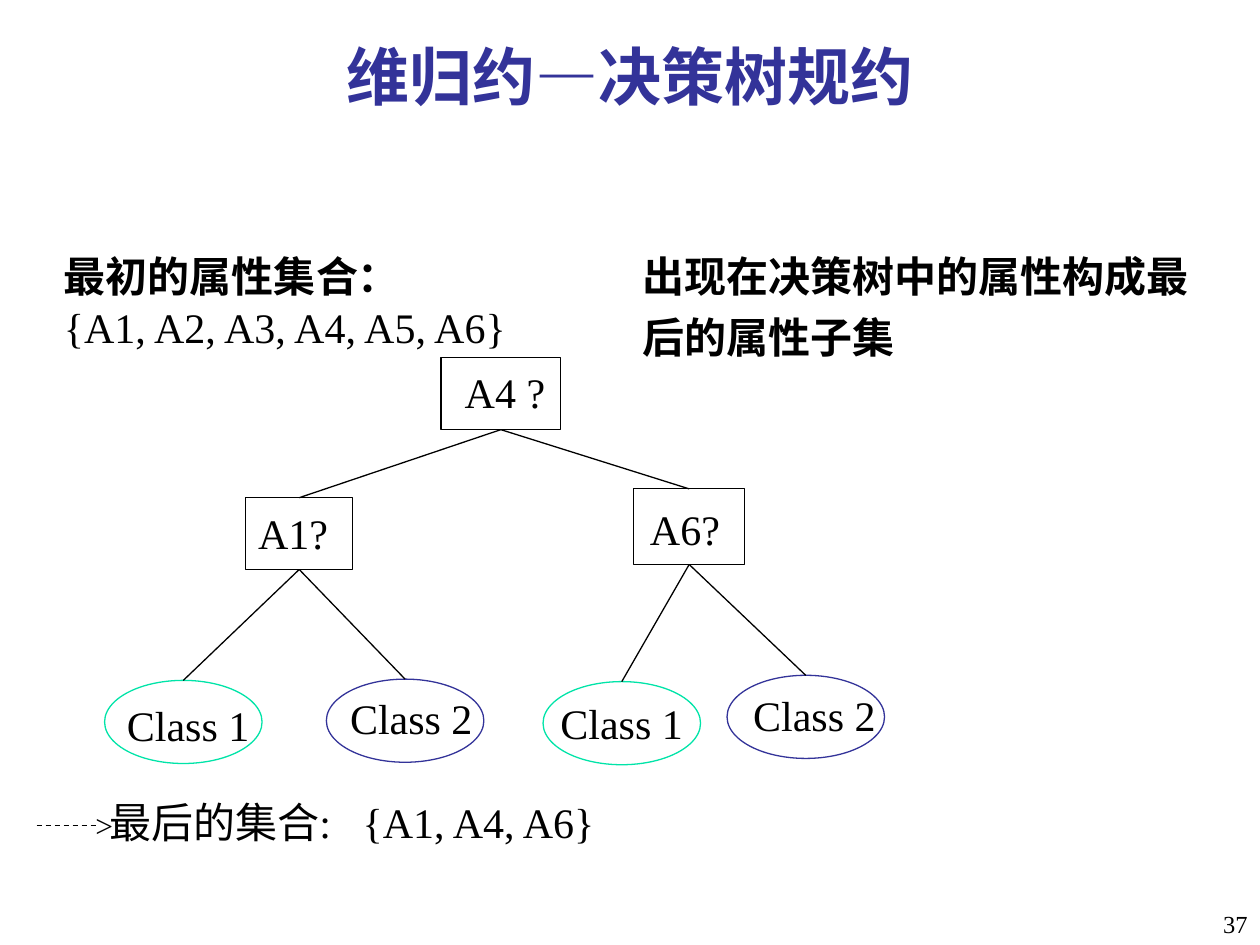
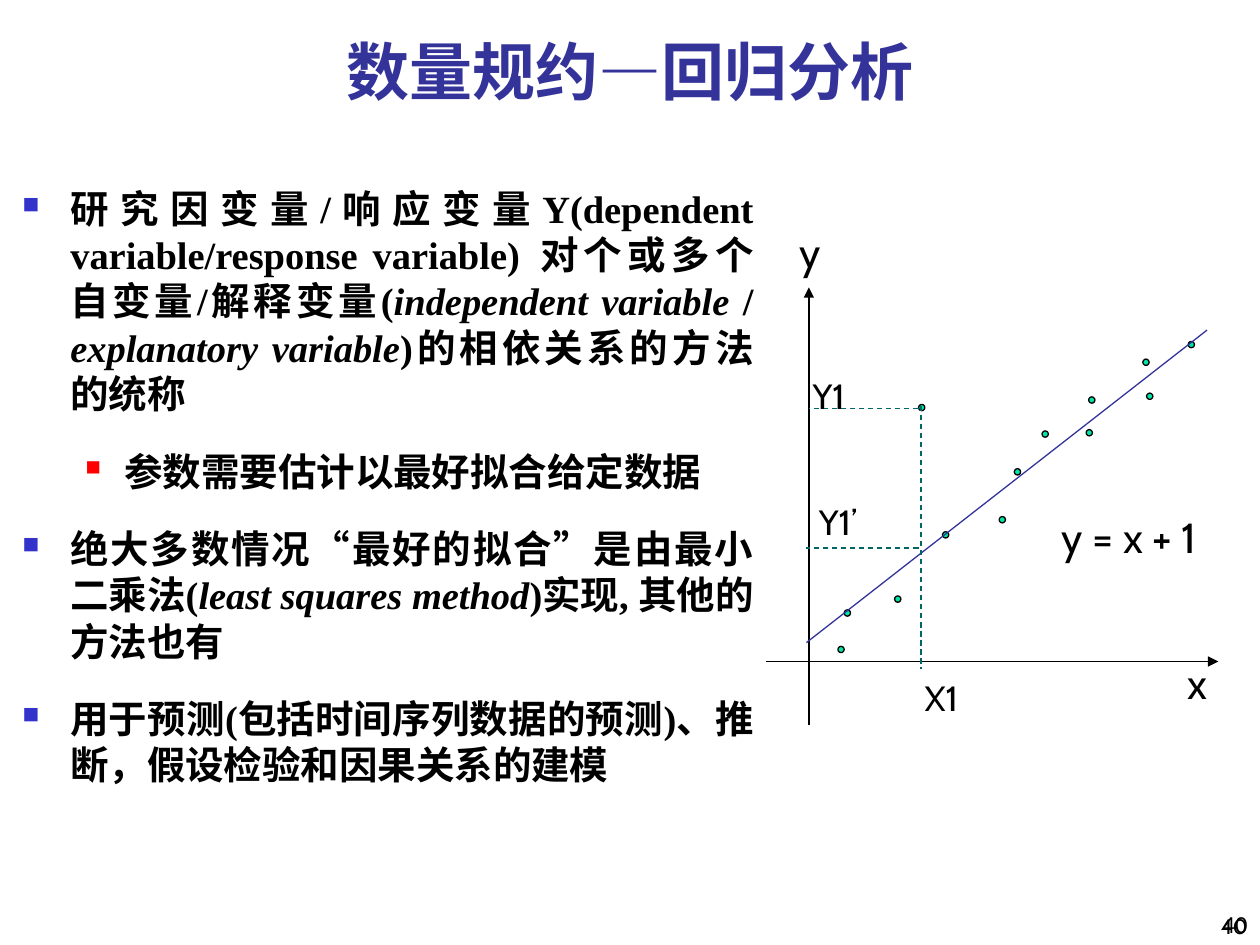
from dataclasses import dataclass
from typing import Optional

from lxml import etree
from pptx import Presentation
from pptx.dml.color import RGBColor
from pptx.enum.dml import MSO_LINE
from pptx.enum.shapes import MSO_CONNECTOR, MSO_SHAPE
from pptx.enum.text import MSO_ANCHOR, MSO_AUTO_SIZE, PP_ALIGN
from pptx.oxml.ns import qn
from pptx.shapes.autoshape import Shape
from pptx.shapes.connector import Connector
from pptx.slide import Slide
from pptx.text.text import TextFrame
from pptx.util import Inches, Pt

RECT, OVAL = MSO_SHAPE.RECTANGLE, MSO_SHAPE.OVAL
STRAIGHT, DASH = MSO_CONNECTOR.STRAIGHT, MSO_LINE.DASH
TOP, BOTTOM = MSO_ANCHOR.TOP, MSO_ANCHOR.BOTTOM
LEFT, CENTER, RIGHT, JUSTIFY = PP_ALIGN.LEFT, PP_ALIGN.CENTER, PP_ALIGN.RIGHT, PP_ALIGN.JUSTIFY
FIT, NO_FIT = MSO_AUTO_SIZE.SHAPE_TO_FIT_TEXT, MSO_AUTO_SIZE.NONE
TOP_SITE, BOTTOM_SITE = 0, 2

Box = tuple[float, float, float, float]
Point = tuple[float, float]


@dataclass(frozen=True)
class Theme:
    serif: str = "Times New Roman"
    sans: str = "Cabin"
    number_font: str = "Calibri"
    ink: str = "000000"
    navy: str = "333399"
    green: str = "00E4A8"
    teal: str = "006666"
    bullet_blue: str = "3333CC"
    bullet_red: str = "FF0000"
    title: int = 36
    text: int = 24
    body: int = 22
    tick: int = 20
    arrow: int = 18
    number: int = 14
    small_number: int = 12
    stroke: float = 0.75


THEME = Theme()


@dataclass(frozen=True)
class Run:
    text: str
    size: int = THEME.text
    font: str = THEME.serif
    bold: bool = False
    italic: bool = False
    color: str = THEME.ink


@dataclass(frozen=True)
class TreeNode:
    label: str
    box: Box
    label_box: Box
    kind: MSO_SHAPE = RECT
    color: str = THEME.ink
    parent: Optional[int] = None


@dataclass(frozen=True)
class Segment:
    start: Point
    end: Point
    color: str = THEME.ink
    dashed: bool = False
    arrow: bool = False


@dataclass(frozen=True)
class BulletLevel:
    color: str
    size_percent: int
    margin: float
    hanging: float


LEVELS = (BulletLevel(THEME.bullet_blue, 60, 0.38, 0.38),
          BulletLevel(THEME.bullet_red, 55, 0.81, 0.31))


def add_run(paragraph, run: Run) -> None:
    piece = paragraph.add_run()
    piece.text = run.text
    font = piece.font
    font.name, font.size = run.font, Pt(run.size)
    font.bold, font.italic = run.bold, run.italic
    font.color.rgb = RGBColor.from_string(run.color)


def add_text(slide: Slide, box: Box, lines: list[list[Run]], wrap: bool = False,
             align: PP_ALIGN = LEFT, anchor: MSO_ANCHOR = TOP,
             fit: MSO_AUTO_SIZE = FIT) -> TextFrame:
    frame = slide.shapes.add_textbox(*map(Inches, box)).text_frame
    frame.word_wrap, frame.auto_size, frame.vertical_anchor = wrap, fit, anchor
    for index, runs in enumerate(lines):
        paragraph = frame.add_paragraph() if index else frame.paragraphs[0]
        paragraph.alignment = align
        for run in runs:
            add_run(paragraph, run)
    return frame


def add_outline(slide: Slide, kind: MSO_SHAPE, box: Box, color: str,
                fill: Optional[str] = None) -> Shape:
    shape = slide.shapes.add_shape(kind, *map(Inches, box))
    shape.shadow.inherit = False
    if fill:
        shape.fill.solid()
        shape.fill.fore_color.rgb = RGBColor.from_string(fill)
    else:
        shape.fill.background()
    shape.line.color.rgb = RGBColor.from_string(color)
    shape.line.width = Pt(THEME.stroke)
    return shape


def add_segment(slide: Slide, segment: Segment) -> Connector:
    ends = map(Inches, (*segment.start, *segment.end))
    connector = slide.shapes.add_connector(STRAIGHT, *ends)
    line = connector.line
    line.color.rgb = RGBColor.from_string(segment.color)
    line.width = Pt(THEME.stroke)
    if segment.dashed:
        line.dash_style = DASH
    if segment.arrow:
        etree.SubElement(line._ln, qn("a:tailEnd"), type="triangle")
    etree.SubElement(connector._element.spPr, qn("a:effectLst"))
    return connector


def start_slide(prs, title: str, box: Box, anchor: MSO_ANCHOR) -> Slide:
    slide = prs.slides.add_slide(prs.slide_layouts[5])
    heading = slide.shapes.title
    heading.left, heading.top, heading.width, heading.height = map(Inches, box)
    frame = heading.text_frame
    frame.word_wrap, frame.auto_size, frame.vertical_anchor = True, NO_FIT, anchor
    paragraph = frame.paragraphs[0]
    paragraph.alignment = CENTER
    add_run(paragraph, Run(title, THEME.title, THEME.sans, bold=True, color=THEME.navy))
    return slide


def add_page_number(slide: Slide, number: Run) -> None:
    add_text(slide, (7.92, 7.08, 2.08, 0.42), [[number]], True, RIGHT, BOTTOM, NO_FIT)


def add_tree(slide: Slide, nodes: list[TreeNode]) -> None:
    """Draws each node and joins it to its parent, which comes earlier in the list."""
    drawn: list[Shape] = []
    for node in nodes:
        shape = add_outline(slide, node.kind, node.box, node.color)
        add_text(slide, node.label_box, [[Run(node.label)]])
        if node.parent is not None:
            branch = add_segment(slide, Segment((0, 0), (1, 1)))
            branch.begin_connect(drawn[node.parent], BOTTOM_SITE)
            branch.end_connect(shape, TOP_SITE)
        drawn.append(shape)


def add_bullets(slide: Slide, box: Box, items: list[tuple[int, list[Run]]]) -> None:
    frame = add_text(slide, box, [runs for _, runs in items], True, JUSTIFY, fit=NO_FIT)
    for index, (paragraph, (depth, _)) in enumerate(zip(frame.paragraphs, items)):
        level = LEVELS[depth]
        paragraph.level = depth
        paragraph.space_before = Pt(18 if index else 0)
        props = paragraph._p.get_or_add_pPr()
        props.set("marL", str(Inches(level.margin)))
        props.set("indent", str(-Inches(level.hanging)))
        tint = etree.SubElement(props, qn("a:buClr"))
        etree.SubElement(tint, qn("a:srgbClr"), val=level.color)
        etree.SubElement(props, qn("a:buSzPct"), val=str(level.size_percent * 1000))
        etree.SubElement(props, qn("a:buChar"), char="■")


def build_decision_tree(prs) -> None:
    slide = start_slide(prs, "维归约—决策树规约", (0, 0.25, 10, 0.92), TOP)
    add_page_number(slide, Run("37", THEME.number))
    conclusion = add_text(slide, (5, 1.86, 4.73, 1.06),
                          [[Run("出现在决策树中的属性构成最后的属性子集", bold=True)]], True)
    conclusion.paragraphs[0].line_spacing = 1.2
    add_text(slide, (0.41, 1.94, 3.8, 0.9),
             [[Run("最初的属性集合：", bold=True)], [Run("{A1, A2, A3, A4, A5, A6}")]])

    def leaf(name: str, left: float, top: float, label_at: Point, color: str,
             parent: int) -> TreeNode:
        return TreeNode(name, (left, top, 1.25, 0.66), (*label_at, 1.17, 0.5),
                        OVAL, color, parent)

    add_tree(slide, [
        TreeNode("A4 ?", (3.5, 2.84, 0.95, 0.57), (3.59, 2.86, 0.97, 0.5)),
        TreeNode("A1?", (1.95, 3.95, 0.85, 0.57), (1.95, 3.98, 0.85, 0.5), parent=0),
        TreeNode("A6?", (5.03, 3.88, 0.88, 0.6), (5.06, 3.95, 0.85, 0.5), parent=0),
        leaf("Class 1", 0.83, 5.4, (0.91, 5.5), THEME.green, 1),
        leaf("Class 2", 2.59, 5.39, (2.68, 5.45), THEME.navy, 1),
        leaf("Class 1", 4.31, 5.41, (4.35, 5.49), THEME.green, 2),
        leaf("Class 2", 5.77, 5.36, (5.88, 5.42), THEME.navy, 2),
    ])

    add_segment(slide, Segment((0.29, 6.55), (0.76, 6.55), dashed=True))
    add_text(slide, (0.66, 6.35, 0.34, 0.4), [[Run(">", THEME.arrow)]])
    result = add_text(slide, (0.77, 6.27, 4.08, 0.5), [[Run("最后的集合:\t{A1, A4, A6}")]])
    stops = etree.SubElement(result.paragraphs[0]._p.get_or_add_pPr(), qn("a:tabLst"))
    etree.SubElement(stops, qn("a:tab"), pos=str(Inches(2.01)), algn="l")


def build_regression(prs) -> None:
    slide = start_slide(prs, "数量规约—回归分析", (0, 0.08, 10, 0.83), BOTTOM)
    add_page_number(slide, Run("40", THEME.number, THEME.number_font))
    add_page_number(slide, Run("40", THEME.small_number, THEME.sans))

    def body(text: str, italic: bool = False) -> Run:
        return Run(text, THEME.body, bold=True, italic=italic)

    def term(text: str) -> Run:
        return body(text, italic=True)

    add_bullets(slide, (0.08, 1.42, 6, 5.89), [
        (0, [body("研究因变量/响应变量Y(dependent variable/response variable) "
                  "对个或多个自变量/解释变量("),
             term("independent variable"), body(" / "), term("explanatory variable"),
             body(")的相依关系的方法的统称")]),
        (1, [body("参数需要估计以最好拟合给定数据")]),
        (0, [body("绝大多数情况“最好的拟合”是由最小二乘法("),
             term("least squares method"), body(")实现, 其他的方法也有")]),
        (0, [body("用于预测(包括时间序列数据的预测)、推断，假设检验和因果关系的建模")]),
    ])

    axes = [Segment((6.08, 5.25), (9.67, 5.25), arrow=True),
            Segment((6.42, 5.75), (6.42, 2.28), arrow=True)]
    fitted_line = Segment((6.4, 5.1), (9.58, 2.62), THEME.navy)
    guides = [Segment(start, end, THEME.teal, dashed=True) for start, end in (
        ((7.31, 3.22), (7.31, 5.31)),
        ((7.29, 3.24), (6.42, 3.24)),
        ((7.29, 4.35), (6.4, 4.35)))]
    observations = [(7.93, 4.1), (7.48, 4.22), (7.29, 3.21), (7.1, 4.73), (8.05, 3.72),
                    (8.27, 3.42), (6.7, 4.84), (8.62, 3.41), (8.64, 3.15), (9.1, 3.12),
                    (6.65, 5.13), (9.07, 2.85), (9.43, 2.71)]
    for axis in axes:
        add_segment(slide, axis)
    for left, top in observations:
        add_outline(slide, OVAL, (left, top, 0.05, 0.05), THEME.ink, THEME.green)
    for segment in (fitted_line, *guides):
        add_segment(slide, segment)

    plot_labels = [
        ("y", (6.25, 1.75, 0.37, 0.5), THEME.text),
        ("x", (9.33, 5.17, 0.37, 0.5), THEME.text),
        ("y = x + 1", (8.33, 4.01, 1.46, 0.5), THEME.text),
        ("X1", (7.24, 5.32, 0.52, 0.44), THEME.tick),
        ("Y1", (6.35, 2.92, 0.51, 0.44), THEME.tick),
        ("Y1’", (6.4, 3.92, 0.56, 0.44), THEME.tick),
    ]
    for text, box, size in plot_labels:
        add_text(slide, box, [[Run(text, size, THEME.sans)]])


def main() -> None:
    prs = Presentation()
    prs.slide_width, prs.slide_height = Inches(10), Inches(7.5)
    build_decision_tree(prs)
    build_regression(prs)
    prs.save("out.pptx")


if __name__ == "__main__":
    main()
